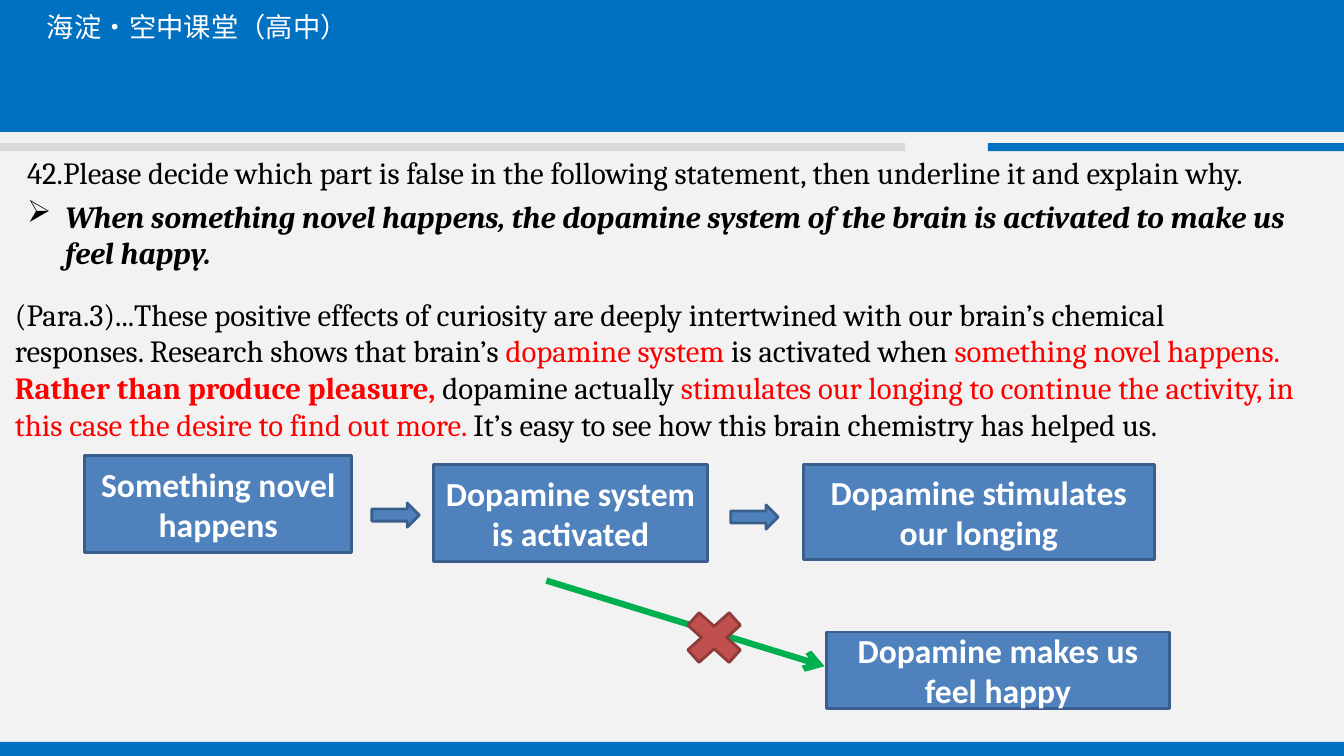
from lxml import etree
from pptx import Presentation, util as u
from pptx.dml.color import RGBColor
from pptx.enum import shapes, text
from pptx.oxml import ns

COLORS = {
    "paper": "F2F2F2", "banner": "0070C0", "rule": "D9D9D9",
    "step": "4F81BD", "step_edge": "3A5F8C", "cross": "C0504D",
    "cross_edge": "8E3B39", "link": "00B050",
    "ink": "000000", "key": "FF0000", "light": "FFFFFF",
}
COLUMNS, ROWS = 80, 45
PRESET = shapes.MSO_SHAPE


def rgb(name):
    return RGBColor.from_string(COLORS[name])


class Board:
    """Draws on one slide; places are (column, row, columns wide, rows high)."""

    def __init__(self, deck):
        self.slide = deck.slides.add_slide(deck.slide_layouts[6])
        self.cell_w = deck.slide_width / COLUMNS
        self.cell_h = deck.slide_height / ROWS
        fill = self.slide.background.fill
        fill.solid()
        fill.fore_color.rgb = rgb("paper")

    def place(self, column, row, *size):
        x, y = int(column * self.cell_w), int(row * self.cell_h)
        return (x, y, *self.place(*size)) if size else (x, y)

    def style(self, run, size, font, color="ink", bold=False, italic=False):
        run.font.size, run.font.name = u.Pt(size), font
        run.font.bold, run.font.italic = bold, italic
        run.font.color.rgb = rgb(color)
        east_asian = etree.SubElement(run.font._element, ns.qn("a:ea"))
        east_asian.set("typeface", font)

    def shape(self, preset, place, fill, edge=None):
        item = self.slide.shapes.add_shape(preset, *self.place(*place))
        item.shadow.inherit = False
        item.fill.solid()
        item.fill.fore_color.rgb = rgb(fill)
        if edge:
            item.line.color.rgb = rgb(edge)
            item.line.width = u.Pt(2)
        else:
            item.line.fill.background()
        return item

    def step(self, label, place):
        frame = self.shape(PRESET.RECTANGLE, place, "step", "step_edge").text_frame
        frame.text = label
        frame.word_wrap = True
        frame.vertical_anchor = text.MSO_ANCHOR.MIDDLE
        frame.paragraphs[0].alignment = text.PP_ALIGN.CENTER
        self.style(frame.paragraphs[0].runs[0], 24, "Calibri", "light", bold=True)

    def text_box(self, place, paragraphs, size, font):
        """Each paragraph is a list of (words, run style) pairs."""
        frame = self.slide.shapes.add_textbox(*self.place(*place)).text_frame
        frame.word_wrap = True
        for number, parts in enumerate(paragraphs):
            paragraph = frame.add_paragraph() if number else frame.paragraphs[0]
            for words, look in parts:
                run = paragraph.add_run()
                run.text = words
                self.style(run, size, font, **look)
        return frame

    def bullet(self, paragraph, mark, indent):
        properties = paragraph._p.get_or_add_pPr()
        properties.set("marL", str(indent))
        properties.set("indent", str(-indent))
        etree.SubElement(properties, ns.qn("a:buChar")).set("char", mark)

    def arrow(self, start, end, color, width):
        link = self.slide.shapes.add_connector(
            shapes.MSO_CONNECTOR.STRAIGHT, *self.place(*start), *self.place(*end))
        link.line.color.rgb = rgb(color)
        link.line.width = u.Pt(width)
        etree.SubElement(link.line._get_or_add_ln(), ns.qn("a:tailEnd")).set("type", "arrow")
        etree.SubElement(link._element.spPr, ns.qn("a:effectLst"))


def main():
    deck = Presentation()
    deck.slide_width, deck.slide_height = u.Inches(13.33), u.Inches(7.5)
    board = Board(deck)

    for place, color in [
        ((0, 44.16, COLUMNS, 0.84), "banner"),
        ((0, 0, COLUMNS, 7.86), "banner"),
        ((0, 8.52, 53.9, 0.48), "rule"),
        ((58.8, 8.52, 21.2, 0.48), "banner"),
    ]:
        board.shape(PRESET.RECTANGLE, place, color)

    board.text_box((2.2, 0.3, 38.8, 2.94),
                   [[("海淀·空中课堂（高中）", {"color": "light"})]],
                   19.5, "Noto Sans CJK SC")

    question = board.text_box((1.02, 8.88, 78.98, 7.74), [
        [("42.Please decide which part is false in the following statement, "
          "then underline it and explain why.", {})],
        [("When something novel happens, the dopamine system of the brain is "
          "activated to make us feel happy.", {"bold": True, "italic": True})],
    ], 22, "Cambria")
    statement = question.paragraphs[1]
    statement.space_before = u.Pt(4.4)
    board.bullet(statement, "➢", u.Inches(0.38))

    key = {"color": "key"}
    board.text_box((0.3, 17.28, 77.6, 20.64), [[
        ("(Para.3)...These positive effects of curiosity are deeply intertwined with "
         "our brain’s chemical responses. Research shows that brain’s", {}),
        (" dopamine system", key),
        (" is activated when ", {}),
        ("something novel happens. ", key),
        ("Rather than produce pleasure,", {"color": "key", "bold": True}),
        (" dopamine actually ", {}),
        ("stimulates our longing to continue the activity, "
         "in this case the desire to find out more. ", key),
        ("It’s easy to see how this brain chemistry has helped us.", {}),
    ]], 22, "Cambria")

    for label, place in [
        ("Something novel happens", (5.04, 27.12, 15.9, 5.76)),
        ("Dopamine system is activated", (25.8, 27.66, 16.32, 5.76)),
        ("Dopamine stimulates our longing", (47.82, 27.66, 20.88, 5.64)),
        ("Dopamine makes us feel happy", (49.2, 37.62, 20.4, 4.56)),
    ]:
        board.step(label, place)
    for column, row in [(22.14, 29.94), (43.5, 30.06)]:
        board.shape(PRESET.RIGHT_ARROW, (column, row, 2.82, 1.44), "step", "step_edge")

    board.arrow((32.52, 34.56), (49.08, 39.66), "link", 4.5)
    board.shape(PRESET.MATH_MULTIPLY, (40.14, 35.82, 4.74, 4.26), "cross", "cross_edge")

    deck.save("out.pptx")


if __name__ == "__main__":
    main()
